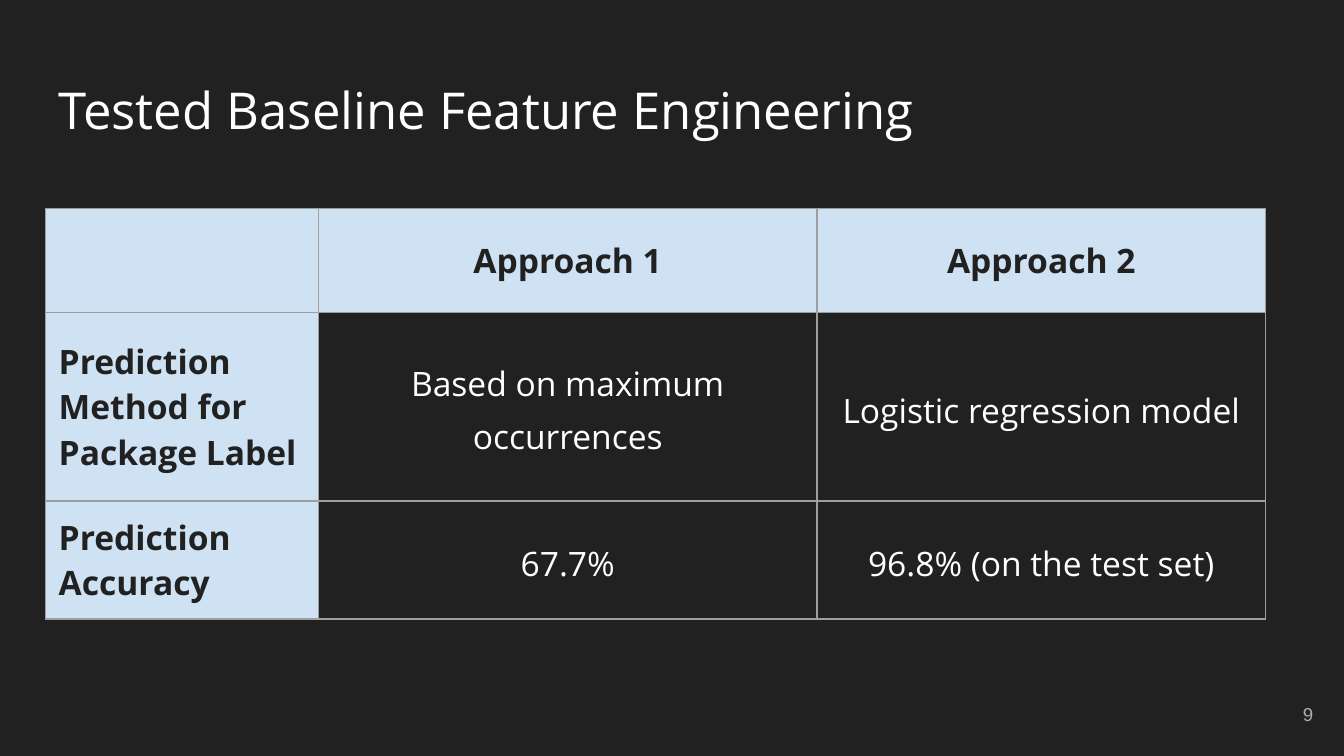
from lxml import etree
from pptx import Presentation
from pptx import util as u
from pptx.dml.color import RGBColor
from pptx.enum import text
from pptx.oxml import ns

TITLE = "Tested Baseline Feature Engineering"
ROWS = [
    ["", "Approach 1", "Approach 2"],
    ["Prediction Method for Package Label", "Based on maximum occurrences",
     "Logistic regression model"],
    ["Prediction Accuracy", "67.7%", "96.8% (on the test set)"],
]
PAGE_NUMBER = "9"
COLUMN_WIDTHS = [5.16, 9.42, 8.48]
ROW_HEIGHTS = [1.97, 3.56, 2.03]
DARK, WHITE, PALE_BLUE = "212121", "FFFFFF", "CFE2F3"
BORDER, GREY = "9E9E9E", "ADADAD"
INSET = u.Cm(0.25)
LEFT, CENTER, RIGHT = text.PP_ALIGN.LEFT, text.PP_ALIGN.CENTER, text.PP_ALIGN.RIGHT


def paint(fill, color):
    fill.solid()
    fill.fore_color.rgb = RGBColor.from_string(color)


def write(frame, content, size=18, font="Open Sans", color=WHITE, bold=False,
          align=LEFT, spacing=1.0, after=0):
    frame.word_wrap = True
    paragraph = frame.paragraphs[0]
    paragraph.alignment = align
    paragraph.line_spacing = spacing
    paragraph.space_after = u.Pt(after)
    run = paragraph.add_run()
    run.text = content
    run.font.size = u.Pt(size)
    run.font.name = font
    run.font.bold = bold
    paint(run.font.fill, color)


def set_insets(holder):
    holder.margin_left = holder.margin_right = INSET
    holder.margin_top = holder.margin_bottom = INSET
    holder.vertical_anchor = text.MSO_ANCHOR.MIDDLE


def place(shape, left, top, width, height):
    shape.left, shape.top = u.Cm(left), u.Cm(top)
    shape.width, shape.height = u.Cm(width), u.Cm(height)


def add_borders(cell, color, width):
    properties = cell._tc.get_or_add_tcPr()
    for side in ("a:lnL", "a:lnR", "a:lnT", "a:lnB"):
        line = etree.SubElement(properties, ns.qn(side), w=str(u.Pt(width)))
        fill = etree.SubElement(line, ns.qn("a:solidFill"))
        etree.SubElement(fill, ns.qn("a:srgbClr"), val=color)


def fill_table(table):
    table.first_row = table.horz_banding = False
    for column, width in zip(table.columns, COLUMN_WIDTHS):
        column.width = u.Cm(width)
    for row, height in zip(table.rows, ROW_HEIGHTS):
        row.height = u.Cm(height)
    for i, row in enumerate(ROWS):
        for j, content in enumerate(row):
            cell = table.cell(i, j)
            set_insets(cell)
            add_borders(cell, BORDER, 0.75)
            heading = i == 0 or j == 0
            if heading:
                paint(cell.fill, PALE_BLUE)
            else:
                cell.fill.background()
            if content:
                write(cell.text_frame, content, bold=heading,
                      color=DARK if heading else WHITE,
                      align=LEFT if j == 0 else CENTER,
                      spacing=1.0 if heading else 1.15,
                      after=0 if heading else 12)


def main():
    presentation = Presentation()
    presentation.slide_width, presentation.slide_height = u.Cm(25.4), u.Cm(14.29)
    slide = presentation.slides.add_slide(presentation.slide_layouts[5])
    paint(slide.background.fill, DARK)

    title = slide.shapes.title
    place(title, 0.86, 1.26, 21.26, 1.6)
    set_insets(title.text_frame)
    write(title.text_frame, TITLE, size=27.2)

    frame = slide.shapes.add_table(
        len(ROWS), len(COLUMN_WIDTHS), u.Cm(0.86), u.Cm(3.94),
        u.Cm(sum(COLUMN_WIDTHS)), u.Cm(sum(ROW_HEIGHTS)))
    fill_table(frame.table)

    number = slide.shapes.add_textbox(u.Cm(23.55), u.Cm(12.95), u.Cm(1.52), u.Cm(1.09))
    set_insets(number.text_frame)
    write(number.text_frame, PAGE_NUMBER, size=10, font="Arial", color=GREY, align=RIGHT)

    presentation.save("out.pptx")


if __name__ == "__main__":
    main()
